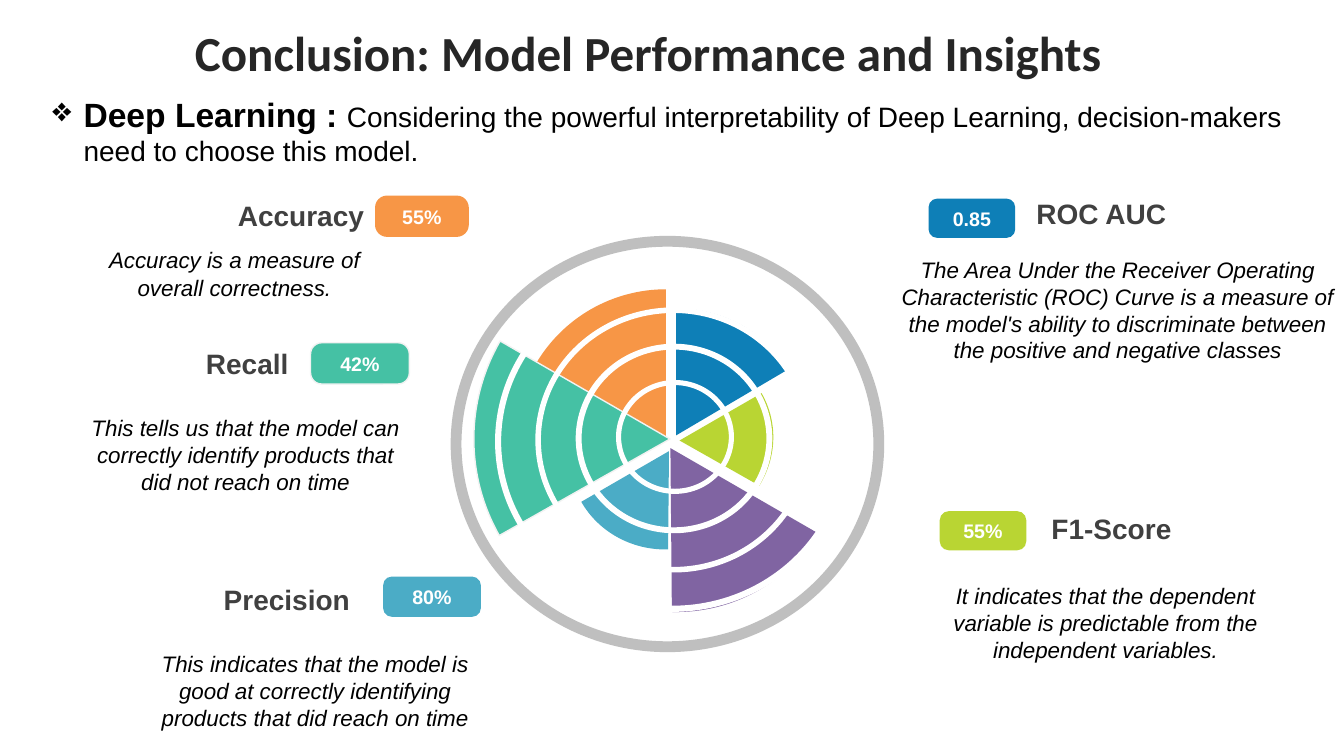
import pptx
import pptx.util
import pptx.dml.color
import pptx.enum.shapes
import pptx.enum.text
import pptx.oxml.ns
import lxml.etree

SHAPE = pptx.enum.shapes.MSO_SHAPE
ALIGN = pptx.enum.text.PP_ALIGN
ANCHOR = pptx.enum.text.MSO_ANCHOR
AUTO = pptx.enum.text.MSO_AUTO_SIZE
ORANGE, TEAL, AQUA = "F79646", "45C1A4", "4BACC6"
BLUE, LIME, PURPLE = "0E7FB7", "B9D533", "8064A2"
PALE, GREY, WHITE = "F2F2F2", "BFBFBF", "FFFFFF"


def px(n):
    return pptx.util.Emu(n * 9144)


def rgb(value):
    return pptx.dml.color.RGBColor.from_string(value)


class Deck:
    title_style = dict(size=35, name="Calibri", color="262626", bold=True)
    lead_style = dict(size=24, name="Arial", color="000000", bold=True)
    claim_style = dict(lead_style, size=20, bold=False)
    label_style = dict(size=20, name="Arial", color="404040", bold=True)
    badge_style = dict(size=14, name="Arial", color=WHITE, bold=True)
    note_style = dict(size=16, name="Arial", color="000000", italic=True)

    def __init__(self, width, height):
        self.prs = pptx.Presentation()
        self.prs.slide_width, self.prs.slide_height = px(width), px(height)
        self.s = self.prs.slides.add_slide(self.prs.slide_layouts[5])

    def run(self, p, text, style):
        r = p.add_run()
        r.text = text
        for key, value in style.items():
            if key == "color":
                r.font.color.rgb = rgb(value)
            else:
                setattr(r.font, key, pptx.util.Pt(value) if key == "size" else value)

    def arrange(self, p, **values):
        for key, value in values.items():
            setattr(p, key, value)

    def title(self, box, text):
        sp = self.s.shapes.title
        sp.left, sp.top, sp.width, sp.height = map(px, box)
        tf = sp.text_frame
        tf.auto_size, tf.vertical_anchor = AUTO.NONE, ANCHOR.MIDDLE
        p = tf.paragraphs[0]
        self.arrange(p, alignment=ALIGN.CENTER, line_spacing=0.9, space_before=pptx.util.Pt(10))
        self.run(p, text, self.title_style)

    def text(self, box, runs, **values):
        tf = self.s.shapes.add_textbox(*map(px, box)).text_frame
        tf.word_wrap, tf.auto_size = True, AUTO.SHAPE_TO_FIT_TEXT
        p = tf.paragraphs[0]
        self.arrange(p, **values)
        for text, style in runs:
            self.run(p, text, style)
        return p

    def bullet(self, box, char, indent, runs):
        pPr = self.text(box, runs)._p.get_or_add_pPr()
        pPr.set("marL", str(px(indent)))
        pPr.set("indent", str(px(-indent)))
        bu = lxml.etree.SubElement(pPr, pptx.oxml.ns.qn("a:buChar"))
        bu.set("char", char)

    def shape(self, kind, box, fill, adj, line=None, rotation=0, flip=False):
        sp = self.s.shapes.add_shape(kind, *map(px, box))
        sp.shadow.inherit = False
        sp.fill.solid()
        sp.fill.fore_color.rgb = rgb(fill)
        if line:
            sp.line.color.rgb = rgb(line)
            sp.line.width = pptx.util.Pt(1)
        else:
            sp.line.fill.background()
        for i, value in enumerate(adj):
            sp.adjustments[i] = value
        sp.rotation = rotation
        if flip:
            sp._element.spPr.get_or_add_xfrm().set("flipH", "1")
        return sp

    def badge(self, box, text, fill, radius, line):
        tf = self.shape(SHAPE.ROUNDED_RECTANGLE, box, fill, [radius], line).text_frame
        tf.vertical_anchor = ANCHOR.MIDDLE
        p = tf.paragraphs[0]
        p.alignment = ALIGN.CENTER
        self.run(p, text, self.badge_style)

    def wedge(self, box, fill, rotation, flip, line):
        self.shape(SHAPE.PIE, box, fill, [126.304, 162], line, rotation, flip)

    def ring(self, box, fill, thickness):
        self.shape(SHAPE.DONUT, box, fill, [thickness])


WEDGES = [
    ((511, 287, 299, 299), ORANGE, 0, False, None),
    ((470, 241, 389, 389), TEAL, 300, False, PALE),
    ((567, 347, 193, 201), AQUA, 240, False, None),
    ((540, 306, 261, 252), BLUE, 0, True, None),
    ((584, 343, 180, 188), LIME, 60, True, None),
    ((504, 277, 322, 335), PURPLE, 120, True, None),
]
BADGES = [
    ((308, 340, 98, 41), "42%", TEAL, 0.27, PALE),
    ((372, 194, 93, 41), "55%", ORANGE, 0.29, None),
    ((380, 572, 97, 40), "80%", AQUA, 0.22, None),
    ((932, 507, 86, 39), "55%", LIME, 0.24, None),
    ((921, 197, 86, 39), "0.85", BLUE, 0.22, None),
]
LABELS = [
    ((40, 192, 331, 44), "Accuracy", ALIGN.RIGHT),
    ((-35, 339, 331, 44), "Recall", ALIGN.RIGHT),
    ((26, 573, 331, 44), "Precision", ALIGN.RIGHT),
    ((1018, 190, 282, 44), "ROC AUC", ALIGN.LEFT),
    ((1033, 503, 266, 44), "F1-Score", ALIGN.LEFT),
]
NOTES = [
    ((67, 237, 331, 66), "Accuracy is a measure of overall correctness.",
     dict(line_spacing=1.07, space_after=pptx.util.Pt(8))),
    ((78, 406, 331, 91), "This tells us that the model can correctly identify products "
     "that did not reach on time", {}),
    ((147, 640, 331, 91), "This indicates that the model is good at correctly identifying "
     "products that did reach on time", {}),
    ((883, 249, 451, 118), "The Area Under the Receiver Operating Characteristic (ROC) Curve "
     "is a measure of the model's ability to discriminate between the positive and negative "
     "classes", {}),
    ((931, 573, 331, 91), "It indicates that the dependent variable is predictable from the "
     "independent variables.", {}),
]
RING_THICKNESS = [0.045, 0.031, 0.021, 0.018]


def main():
    deck = Deck(1333, 750)
    deck.title((55, 21, 1177, 68), "Conclusion: Model Performance and Insights")
    deck.ring((447, 234, 430, 413), GREY, 0.026)
    for wedge in WEDGES:
        deck.wedge(*wedge)
    for k, thickness in enumerate(RING_THICKNESS):
        box = (611 - 40 * k, 377 - 36 * k, 117 + 157 * k // 2, 113 + 75 * k)
        deck.ring(box, WHITE, thickness)
    for badge in BADGES:
        deck.badge(*badge)
    for box, name, alignment in LABELS:
        deck.text(box, [(name, deck.label_style)], alignment=alignment)
    for box, note, spacing in NOTES:
        deck.text(box, [(note, deck.note_style)], alignment=ALIGN.CENTER, **spacing)
    deck.bullet((42, 88, 1252, 84), "❖", 31, [
        ("Deep Learning : ", deck.lead_style),
        ("Considering the powerful interpretability of Deep Learning, decision-makers "
         "need to choose this model.", deck.claim_style),
    ])
    deck.prs.save("out.pptx")


if __name__ == "__main__":
    main()
